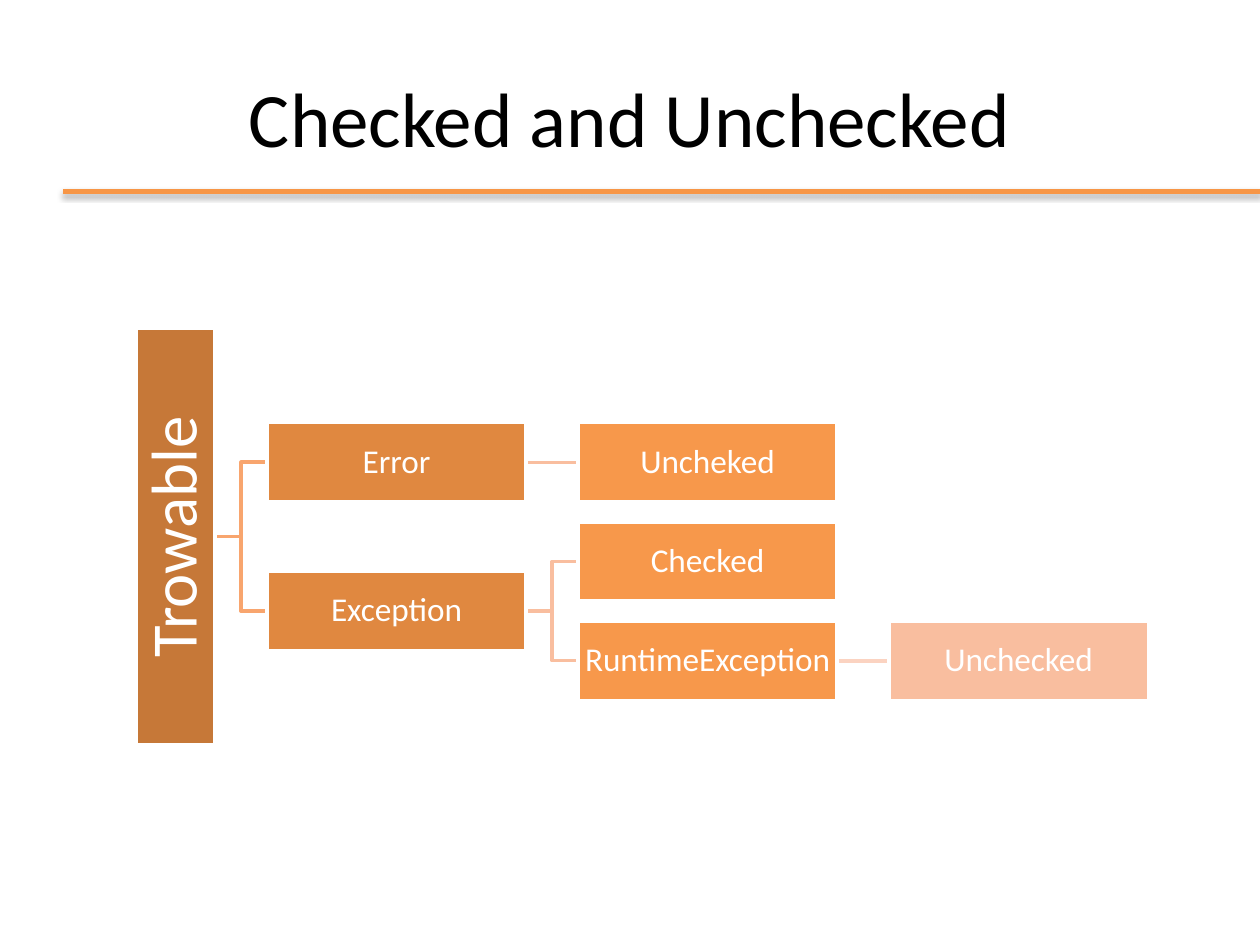
from lxml import etree
from pptx import Presentation
from pptx.dml.color import RGBColor
from pptx.enum.shapes import MSO_CONNECTOR, MSO_SHAPE
from pptx.enum.text import MSO_ANCHOR, PP_ALIGN
from pptx.oxml.ns import qn
from pptx.util import Cm, Pt

STRAIGHT, ELBOW = MSO_CONNECTOR.STRAIGHT, MSO_CONNECTOR.ELBOW
RECTANGLE = MSO_SHAPE.RECTANGLE
MIDDLE, CENTER = MSO_ANCHOR.MIDDLE, PP_ALIGN.CENTER
RIGHT_SIDE, LEFT_SIDE = 3, 1


def color(value):
    return RGBColor.from_string(value)


def write(shape, text, size, font_color, inset, line_spacing):
    frame = shape.text_frame
    frame.word_wrap = True
    frame.vertical_anchor = MIDDLE
    frame.margin_left = frame.margin_right = Cm(inset)
    frame.margin_top = frame.margin_bottom = Cm(inset)
    paragraph = frame.paragraphs[0]
    paragraph.alignment = CENTER
    paragraph.line_spacing = line_spacing
    run = paragraph.add_run()
    run.text = text
    run.font.name = "Calibri"
    run.font.size = Pt(size)
    run.font.color.rgb = color(font_color)


presentation = Presentation()
presentation.slide_width, presentation.slide_height = Cm(25.4), Cm(19.05)
slide = presentation.slides.add_slide(presentation.slide_layouts[6])
shapes = slide.shapes

# Rule under the title, with a soft shadow
rule = shapes.add_connector(STRAIGHT, Cm(1.27), Cm(3.86), Cm(25.4), Cm(3.86))
rule.line.color.rgb = color("F79646")
rule.line.width = Pt(3)
effects = etree.SubElement(rule._element.spPr, qn("a:effectLst"))
shadow = etree.SubElement(effects, qn("a:outerShdw"), blurRad=str(Pt(3.1)),
                          dist=str(Pt(1.8)), dir="5400000", rotWithShape="0")
shadow_color = etree.SubElement(shadow, qn("a:srgbClr"), val="000000")
etree.SubElement(shadow_color, qn("a:alpha"), val="35000")

# Title
title = shapes.add_textbox(Cm(1.27), Cm(0.76), Cm(22.86), Cm(3.18))
write(title, "Checked and Unchecked", 44, "000000", 0.13, 1.0)

# Tree: each box has a level and a row; rows may fall between two others
BOX_WIDTH, BOX_HEIGHT = 5.23, 1.6
LEVEL_GAP, ROW_STEP = 1.04, 2
FIRST_LEFT, FIRST_MIDDLE = 5.38, 9.32
ROOT_LENGTH = 8.4
ROOT = "Trowable"
level_fills = ["C67838", "E08840", "F7984B", "F9BE9F"]
link_colors = ["F8A56E", "F9BE9F", "FBD3C1"]
nodes = {
    ROOT: (0, 0.75),
    "Error": (1, 0),
    "Uncheked": (2, 0),
    "Exception": (1, 1.5),
    "Checked": (2, 1),
    "RuntimeException": (2, 2),
    "Unchecked": (3, 2),
}
links = [
    (ROOT, "Error"),
    (ROOT, "Exception"),
    ("Error", "Uncheked"),
    ("Exception", "Checked"),
    ("Exception", "RuntimeException"),
    ("RuntimeException", "Unchecked"),
]

# Links lie behind the boxes
connectors = []
for parent, child in links:
    level, parent_row = nodes[parent]
    child_row = nodes[child][1]
    end = FIRST_LEFT + level * (BOX_WIDTH + LEVEL_GAP)
    connector = shapes.add_connector(
        STRAIGHT if parent_row == child_row else ELBOW,
        Cm(end - LEVEL_GAP), Cm(FIRST_MIDDLE + parent_row * ROW_STEP),
        Cm(end), Cm(FIRST_MIDDLE + child_row * ROW_STEP))
    connector.line.color.rgb = color(link_colors[level])
    connector.line.width = Pt(2)
    etree.SubElement(connector._element.spPr, qn("a:effectLst"))
    connectors.append(connector)

# Boxes; the root is a long one turned to read upwards
boxes = {}
for name, (level, row) in nodes.items():
    is_root = name == ROOT
    width = ROOT_LENGTH if is_root else BOX_WIDTH
    left = FIRST_LEFT + (level - 1) * (BOX_WIDTH + LEVEL_GAP)
    if is_root:
        left = FIRST_LEFT - LEVEL_GAP - (BOX_HEIGHT + ROOT_LENGTH) / 2
    top = FIRST_MIDDLE + row * ROW_STEP - BOX_HEIGHT / 2
    box = shapes.add_shape(RECTANGLE, Cm(left), Cm(top), Cm(width), Cm(BOX_HEIGHT))
    box.rotation = 270 if is_root else 0
    box.shadow.inherit = False
    box.fill.solid()
    box.fill.fore_color.rgb = color(level_fills[level])
    box.line.color.rgb = color("FFFFFF")
    box.line.width = Pt(2)
    write(box, name, 37 if is_root else 19, "FFFFFF", 0.08 if is_root else 0.03, 0.9)
    boxes[name] = box

# Join the links between upright boxes
for connector, (parent, child) in zip(connectors, links):
    if parent != ROOT:
        connector.begin_connect(boxes[parent], RIGHT_SIDE)
        connector.end_connect(boxes[child], LEFT_SIDE)

presentation.save("out.pptx")
